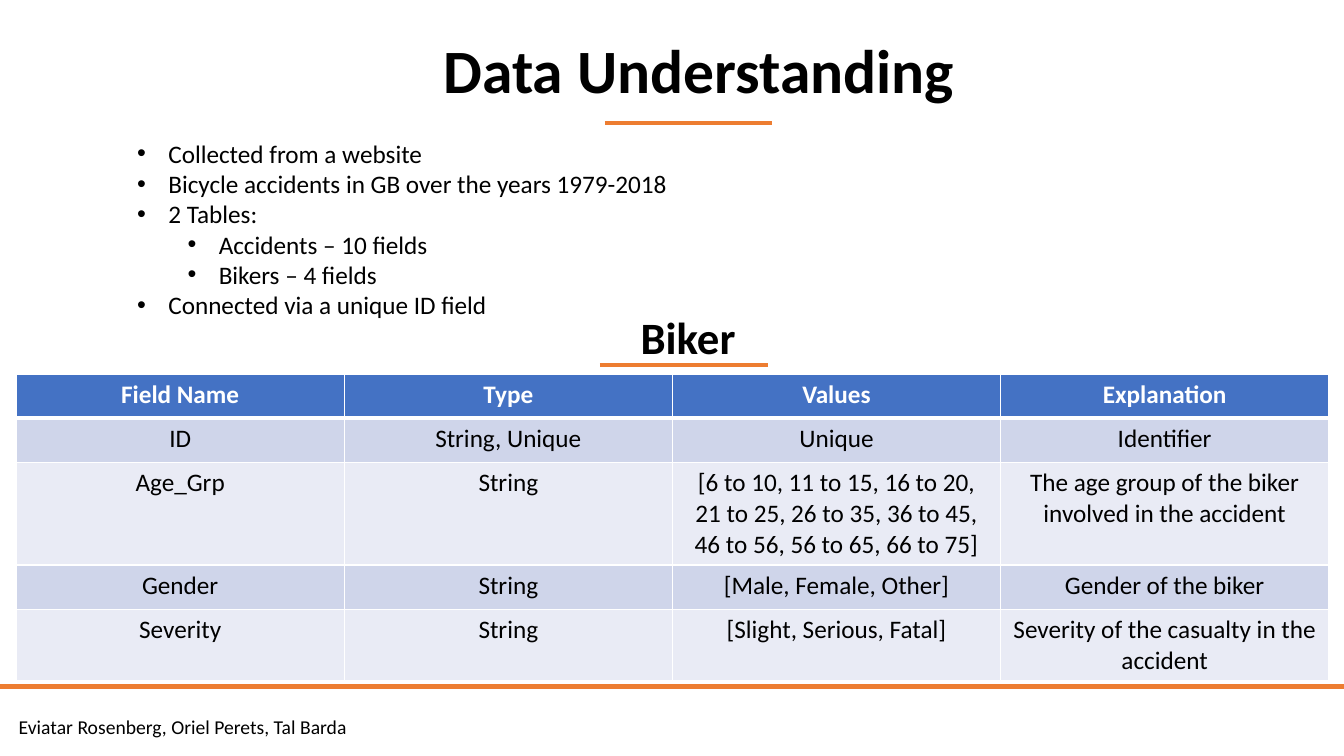
from lxml.etree import SubElement
from pptx import Presentation
from pptx.dml.color import RGBColor
from pptx.enum.shapes import MSO_CONNECTOR
from pptx.enum.text import MSO_ANCHOR, MSO_AUTO_SIZE, PP_ALIGN
from pptx.oxml.ns import qn
from pptx.util import Inches, Pt

BLACK = RGBColor(0x00, 0x00, 0x00)
WHITE = RGBColor(0xFF, 0xFF, 0xFF)
ORANGE = RGBColor(0xED, 0x7D, 0x31)
BLUE = RGBColor(0x44, 0x72, 0xC4)
DARK_BAND = RGBColor(0xCF, 0xD5, 0xEA)
LIGHT_BAND = RGBColor(0xE9, 0xEB, 0xF5)


def write(para, text, size=18, color=BLACK, bold=False, align=PP_ALIGN.CENTER):
    para.alignment = align
    para.space_before = Pt(0)
    span = para.add_run()
    span.text = text
    span.font.name = "Calibri"
    span.font.size = Pt(size)
    span.font.bold = bold
    span.font.color.rgb = color


def place(box, left, top, width, height):
    box.left, box.top = Inches(left), Inches(top)
    box.width, box.height = Inches(width), Inches(height)
    frame = box.text_frame
    frame.word_wrap = True
    frame.auto_size = MSO_AUTO_SIZE.NONE
    frame.vertical_anchor = MSO_ANCHOR.TOP
    return frame


deck = Presentation()
deck.slide_width = Inches(13.33)
deck.slide_height = Inches(7.5)
page = deck.slides.add_slide(deck.slide_layouts[1])

title = place(page.shapes.title, 2.15, 0.27, 9.57, 0.84)
write(title.paragraphs[0], "Data Understanding", size=44, bold=True)

body = place(page.placeholders[1], 1.26, 1.32, 11.19, 1.92)
facts = [
    (0, "Collected from a website"),
    (0, "Bicycle accidents in GB over the years 1979-2018"),
    (0, "2 Tables:"),
    (1, "Accidents – 10 fields"),
    (1, "Bikers – 4 fields"),
    (0, "Connected via a unique ID field"),
]
for number, (level, fact) in enumerate(facts):
    para = body.add_paragraph() if number else body.paragraphs[0]
    write(para, fact, align=PP_ALIGN.LEFT)
    para.level = level
    properties = para._p.get_or_add_pPr()
    properties.set("marL", str(Inches(0.31 + 0.5 * level)))
    properties.set("indent", str(Inches(-0.31)))
    SubElement(properties, qn("a:buFont"), typeface="Arial")
    SubElement(properties, qn("a:buChar"), char="•")

rows = [
    ["Field Name", "Type", "Values", "Explanation"],
    ["ID", "String, Unique", "Unique", "Identifier"],
    ["Age_Grp", "String",
     "[6 to 10, 11 to 15, 16 to 20, 21 to 25, 26 to 35, 36 to 45, 46 to 56, 56 to 65, 66 to 75]",
     "The age group of the biker involved in the accident"],
    ["Gender", "String", "[Male, Female, Other]", "Gender of the biker"],
    ["Severity", "String", "[Slight, Serious, Fatal]", "Severity of the casualty in the accident"],
]
row_heights = [0.44, 0.44, 0.95, 0.44, 0.66]
table = page.shapes.add_table(
    len(rows), len(rows[0]), Inches(0.16), Inches(3.71), Inches(13.02), Inches(sum(row_heights))
).table
for column in table.columns:
    column.width = Inches(13.02 / len(rows[0]))
for row_index, texts in enumerate(rows):
    table.rows[row_index].height = Inches(row_heights[row_index])
    header = row_index == 0
    band = DARK_BAND if row_index % 2 else LIGHT_BAND
    for column_index, text in enumerate(texts):
        cell = table.cell(row_index, column_index)
        write(cell.text_frame.paragraphs[0], text, color=WHITE if header else BLACK, bold=header)
        properties = cell._tc.get_or_add_tcPr()
        for side in "LRTB":
            thick = (header and side == "B") or (row_index == 1 and side == "T")
            border = SubElement(properties, qn(f"a:ln{side}"), w=str(Pt(3 if thick else 1)))
            SubElement(SubElement(border, qn("a:solidFill")), qn("a:srgbClr"), val=str(WHITE))
        cell.fill.solid()
        cell.fill.fore_color.rgb = BLUE if header else band

biker = place(page.shapes.add_textbox(0, 0, 0, 0), 2.04, 3.02, 9.57, 0.64)
write(biker.paragraphs[0], "Biker", size=32, bold=True)

authors = place(page.shapes.add_textbox(0, 0, 0, 0), 0.04, 7.04, 3.5, 0.34)
write(authors.paragraphs[0], "Eviatar Rosenberg, Oriel Perets, Tal Barda", size=14, align=PP_ALIGN.RIGHT)

for start, end, height in [(0, 13.33, 6.81), (6, 7.66, 1.22), (5.95, 7.62, 3.62)]:
    rule = page.shapes.add_connector(
        MSO_CONNECTOR.STRAIGHT, Inches(start), Inches(height), Inches(end), Inches(height)
    )
    rule.line.color.rgb = ORANGE
    rule.line.width = Pt(3)
    SubElement(rule._element.spPr, qn("a:effectLst"))

deck.save("out.pptx")
